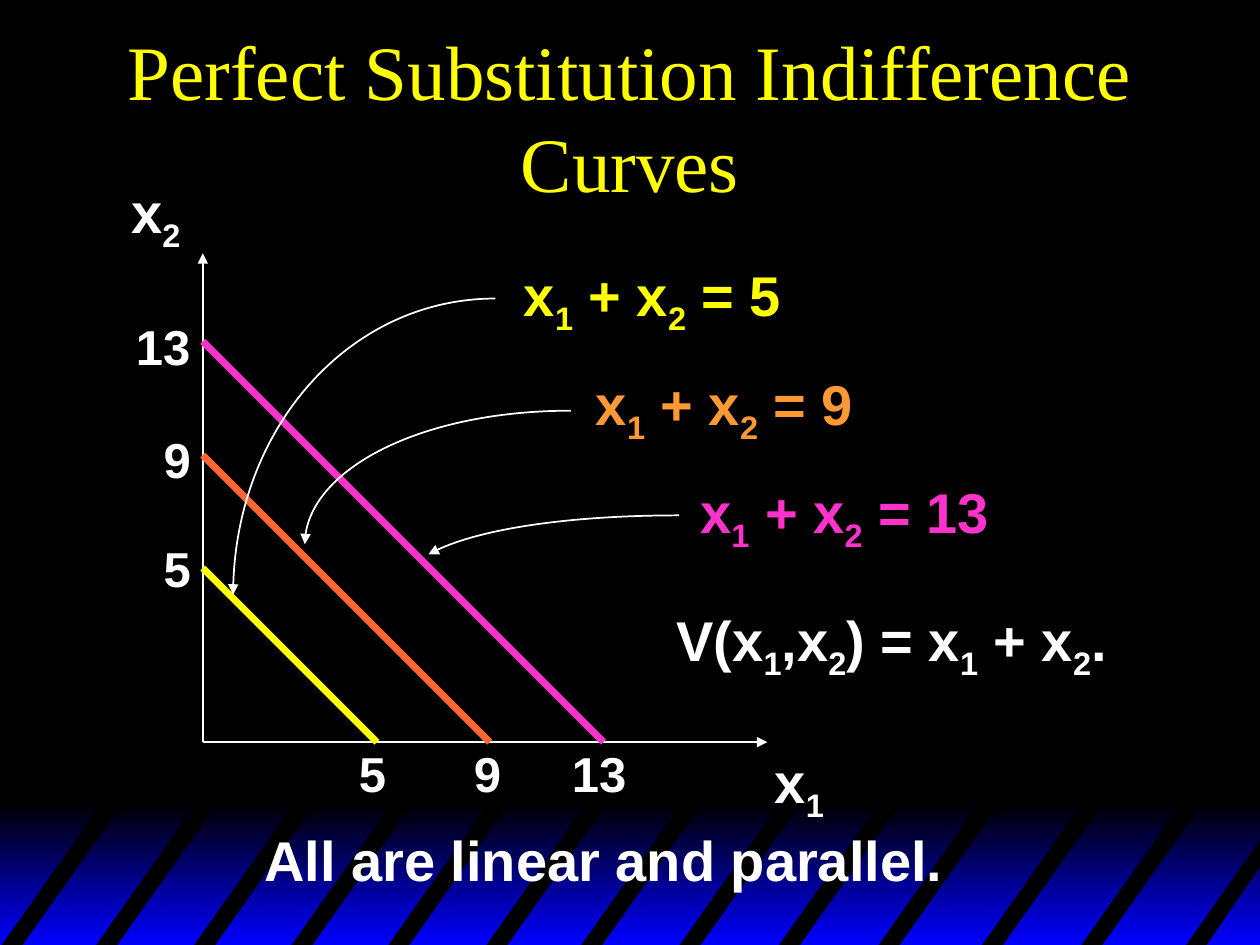
"""Build a slide on the indifference curves of perfect substitutes."""
from lxml.etree import SubElement
from pptx import Presentation
from pptx.dml.color import RGBColor
from pptx.enum.shapes import MSO_CONNECTOR as Link, MSO_SHAPE as Shape
from pptx.enum.text import MSO_ANCHOR as Anchor, MSO_AUTO_SIZE as Fit, PP_ALIGN as Align
from pptx.oxml.ns import qn
from pptx.util import Pt

HUE = {
    "black": "000000", "blue": "0000FF", "white": "FFFFFF", "yellow": "FFFF00",
    "coral": "FF6633", "orange": "FF9933", "pink": "FF33CC",
}
ORIGIN = (115.9, 424.1)
STRIPES = (0, 54, 110, 165.6, 221, 277, 331.2, 387.4, 444.2, 501.1, 560.2, 617)
CURVES = [
    {"sum": 5, "size": 99.5, "line": "yellow", "font": "yellow",
     "below": (198, 421.2, 30.2, 41), "left": (86.4, 304, 30.2, 41),
     "label": (292.3, 145.6, 162, 51),
     "arc": [(283, 170.6), (200.2, 170.6), (133.2, 246.2), (133.2, 339.8)]},
    {"sum": 9, "size": 164, "line": "coral", "font": "orange",
     "below": (263.7, 421.2, 30.2, 41), "left": (86.4, 242.2, 30.2, 41),
     "label": (333.4, 207.4, 162, 51),
     "arc": [(326.2, 234.7), (242.6, 234.7), (174.2, 269.3), (174.2, 311)]},
    {"sum": 13, "size": 229, "line": "pink", "font": "pink",
     "below": (319.7, 421.2, 46, 41), "left": (70.6, 177.1, 46, 41),
     "label": (393.1, 269.3, 180, 51),
     "arc": [(388.1, 294.5), (325.4, 294.5), (268.6, 303.1), (244.8, 316.8)]},
]


def rgb(name):
    """Return the named colour."""
    return RGBColor.from_string(HUE[name])


def write(frame, words, size=32, hue="white", face="Arial", bold=True, align=Align.LEFT):
    """Fill a text frame, setting the character after each underscore as a subscript."""
    para = frame.paragraphs[0]
    para.alignment = align
    first, *rest = words.split("_")
    parts = [(first, False)]
    for part in rest:
        parts += [(part[0], True), (part[1:], False)]
    for part, sub in parts:
        if not part:
            continue
        run = para.add_run()
        run.text = part
        font = run.font
        font.size, font.name, font.bold = Pt(size), face, bold
        font.color.rgb = rgb(hue)
        if sub:
            run._r.get_or_add_rPr().set("baseline", "-25000")


def add_text(slide, spot, words, **style):
    """Add a text box that grows with its text and does not wrap."""
    frame = slide.shapes.add_textbox(*map(Pt, spot)).text_frame
    frame.word_wrap = False
    frame.auto_size = Fit.SHAPE_TO_FIT_TEXT
    write(frame, words, **style)


def add_title(slide, words):
    """Place and fill the title."""
    title = slide.shapes.title
    title.left, title.top, title.width, title.height = map(Pt, (54, 18, 612, 96))
    frame = title.text_frame
    frame.auto_size, frame.vertical_anchor = Fit.NONE, Anchor.MIDDLE
    write(frame, words, size=44, hue="yellow", face="Times New Roman",
          bold=False, align=Align.CENTER)


def stroke(shape, hue, width, arrow):
    """Set the line of a shape, with an arrowhead at its end if asked."""
    shape.line.color.rgb = rgb(hue)
    shape.line.width = Pt(width)
    if arrow:
        SubElement(shape.element.find(".//" + qn("a:ln")), qn("a:tailEnd"), type="triangle")


def add_line(slide, start, end, hue="white", width=1, arrow=False):
    """Add a straight line without a shadow."""
    line = slide.shapes.add_connector(Link.STRAIGHT, *map(Pt, (*start, *end)))
    stroke(line, hue, width, arrow)
    SubElement(line.element.spPr, qn("a:effectLst"))


def add_path(slide, spots, close):
    """Add an outline through the given points."""
    start, *rest = [tuple(map(Pt, spot)) for spot in spots]
    pen = slide.shapes.build_freeform(*start)
    pen.add_line_segments(rest, close=close)
    shape = pen.convert_to_shape()
    shape.shadow.inherit = False
    return shape


def add_arc(slide, spots):
    """Add a Bezier arrow from its start, two controls and end."""
    arc = add_path(slide, spots, False)
    arc.fill.background()
    path = arc.element.find(".//" + qn("a:path"))
    steps = path.findall(qn("a:lnTo"))
    bend = SubElement(path, qn("a:cubicBezTo"))
    for step in steps:
        bend.append(step[0])
        path.remove(step)
    stroke(arc, "white", 1, True)


def add_stripe(slide, spots):
    """Add one black stripe."""
    stripe = add_path(slide, spots, True)
    stripe.fill.solid()
    stripe.fill.fore_color.rgb = rgb("black")
    stripe.line.fill.background()


def add_band(slide):
    """Add the striped blue band at the foot."""
    band = slide.shapes.add_shape(Shape.RECTANGLE, *map(Pt, (0, 459.4, 721.4, 80.6)))
    band.shadow.inherit = False
    band.line.fill.background()
    band.fill.gradient()
    band.fill.gradient_angle = 270
    for stop, hue, place in zip(band.fill.gradient_stops, ("black", "blue"), (0, 1)):
        stop.color.rgb = rgb(hue)
        stop.position = place
    for x in STRIPES:
        add_stripe(slide, [(x, 541.4), (x + 60, 456.5), (x + 72, 456.5), (x + 12, 541.4)])
    add_stripe(slide, [(676.8, 541.4), (721.4, 478), (721.4, 493.2), (688.6, 541.4)])


def add_graph(slide):
    """Add the axes, the curves and their labels."""
    x, y = ORIGIN
    add_line(slide, ORIGIN, (x, 144.7), arrow=True)
    add_line(slide, ORIGIN, (438.5, y), arrow=True)
    for curve in CURVES:
        size, total = curve["size"], curve["sum"]
        add_line(slide, (x, y - size), (x + size, y), hue=curve["line"], width=4)
        for side in ("below", "left"):
            add_text(slide, curve[side], str(total), size=28)
        add_text(slide, curve["label"], f"x_1 + x_2 = {total}", hue=curve["font"])
    for curve in CURVES:
        add_arc(slide, curve["arc"])
    add_text(slide, (435.6, 423.4, 42.5, 51), "x_1")
    add_text(slide, (67.9, 98.1, 42.5, 51), "x_2")


def main():
    """Build and save the slide."""
    deck = Presentation()
    deck.slide_width, deck.slide_height = Pt(720), Pt(540)
    slide = deck.slides.add_slide(deck.slide_layouts[5])
    slide.background.fill.solid()
    slide.background.fill.fore_color.rgb = rgb("black")
    add_band(slide)
    add_title(slide, "Perfect Substitution Indifference Curves")
    add_graph(slide)
    add_text(slide, (144, 468, 402.5, 45.4), "All are linear and parallel.")
    add_text(slide, (379.4, 342.2, 261, 51), "V(x_1,x_2) = x_1 + x_2.")
    deck.save("out.pptx")


if __name__ == "__main__":
    main()
